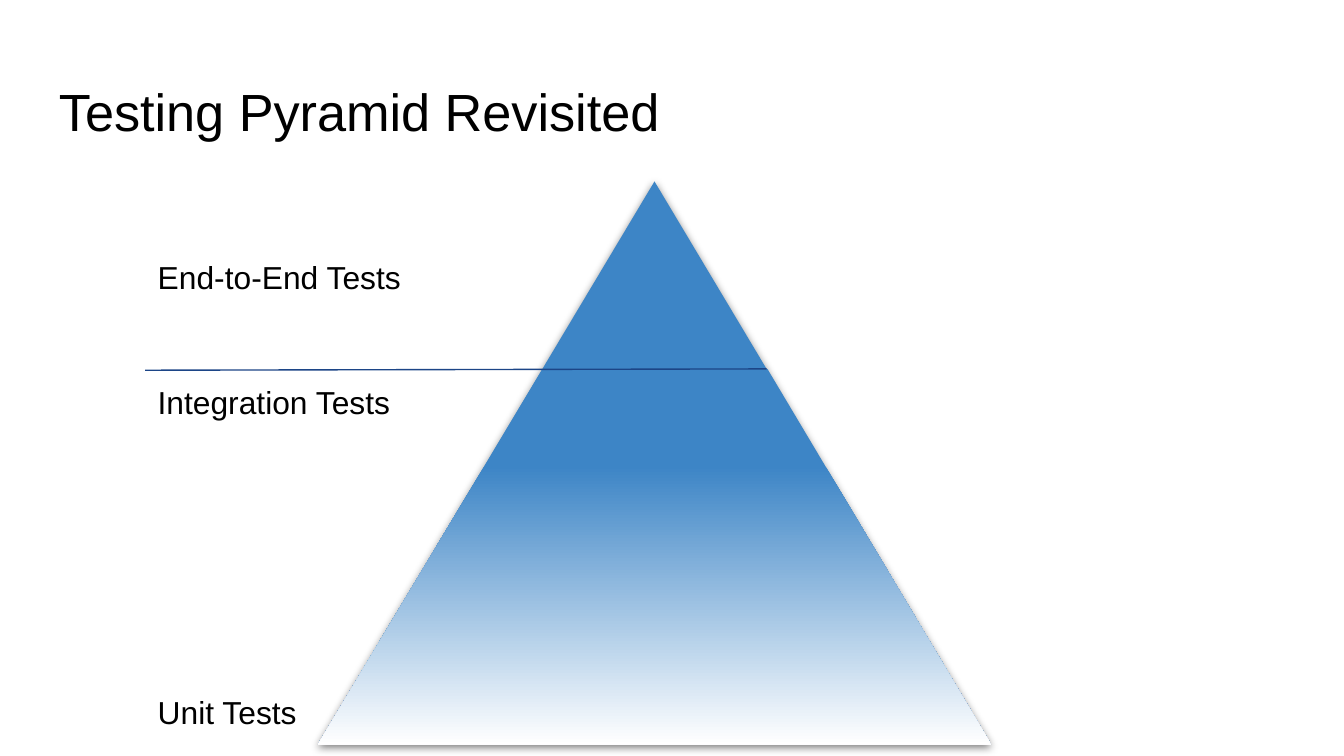
from copy import deepcopy
from dataclasses import dataclass

from lxml.etree import SubElement
from pptx import Presentation
from pptx.dml.color import RGBColor
from pptx.enum.shapes import MSO_CONNECTOR, MSO_SHAPE
from pptx.enum.text import MSO_ANCHOR
from pptx.oxml.ns import qn
from pptx.util import Pt

PX = 4572  # 200 px to the inch
BLUE, NAVY, WHITE, BLACK = "3D85C6", "1C4587", "FFFFFF", "000000"


@dataclass
class Label:
    text: str
    x: int
    y: int
    w: int
    h: int
    anchor: MSO_ANCHOR = MSO_ANCHOR.TOP
    size: int = 17


LABELS = [
    Label("Testing Pyramid Revisited", 68, 98, 1864, 126, size=28),
    Label("Unit Tests", 215, 830, 666, 278, MSO_ANCHOR.BOTTOM),
    Label("Integration Tests", 215, 550, 626, 102),
    Label("End-to-End Tests", 215, 273, 626, 278, MSO_ANCHOR.MIDDLE),
]


def px(*lengths: int) -> list[int]:
    return [n * PX for n in lengths]


def rgb(color: str) -> RGBColor:
    return RGBColor.from_string(color)


def add_label(s, label: Label) -> None:
    tf = s.shapes.add_textbox(*px(label.x, label.y, label.w, label.h)).text_frame
    frame = {"word_wrap": True, "vertical_anchor": label.anchor}
    frame |= {f"margin_{side}": 20 * PX for side in ("left", "top", "right", "bottom")}
    for name, value in frame.items():
        setattr(tf, name, value)
    r = tf.paragraphs[0].add_run()
    r.text = label.text
    for name, value in {"size": Pt(label.size), "name": "Arial"}.items():
        setattr(r.font, name, value)
    r.font.color.rgb = rgb(BLACK)


def add_drop_shadow(sp) -> None:
    sp.shadow.inherit = False
    effects = sp._element.spPr.find(qn("a:effectLst"))
    shadow = SubElement(effects, qn("a:outerShdw"), blurRad=str(Pt(4.5)),
                        dist=str(Pt(1.5)), dir="5400000", algn="bl", rotWithShape="0")
    color = SubElement(shadow, qn("a:srgbClr"), val=BLACK)
    SubElement(color, qn("a:alpha"), val="50000")


def add_pyramid(s) -> None:
    sp = s.shapes.add_shape(MSO_SHAPE.FLOWCHART_EXTRACT, *px(473, 270, 1002, 838))
    sp.fill.solid()
    sp.fill.fore_color.rgb = rgb(BLUE)
    sp.line.fill.background()
    add_drop_shadow(sp)


def add_lower_levels(s) -> None:
    """Cover the pyramid below the divider with a fade to white."""
    builder = s.shapes.build_freeform(1475, 1108, scale=PX)
    builder.add_line_segments([(473, 1108), (807, 550), (1142, 549)], close=True)
    sp = builder.convert_to_shape()
    sp.shadow.inherit = False
    sp.line.fill.background()
    sp.fill.gradient()
    sp.fill.gradient_angle = 270
    stops = sp._element.spPr.find(".//" + qn("a:gsLst"))
    stops.insert(1, deepcopy(stops[0]))
    fade = [(0, BLUE), (0.26, BLUE), (1, WHITE)]
    for stop, (position, color) in zip(sp.fill.gradient_stops, fade):
        stop.position = position
        stop.color.rgb = rgb(color)


def add_divider(s) -> None:
    line = s.shapes.add_connector(MSO_CONNECTOR.STRAIGHT, *px(216, 551, 1141, 549))
    line.line.color.rgb = rgb(NAVY)
    line.line.width = Pt(0.75)
    SubElement(line._element.spPr, qn("a:effectLst"))


def main() -> None:
    prs = Presentation()
    prs.slide_width, prs.slide_height = px(2000, 1125)
    s = prs.slides.add_slide(prs.slide_layouts[6])
    add_pyramid(s)
    add_lower_levels(s)
    for label in LABELS:
        add_label(s, label)
    add_divider(s)
    prs.save("out.pptx")


if __name__ == "__main__":
    main()
